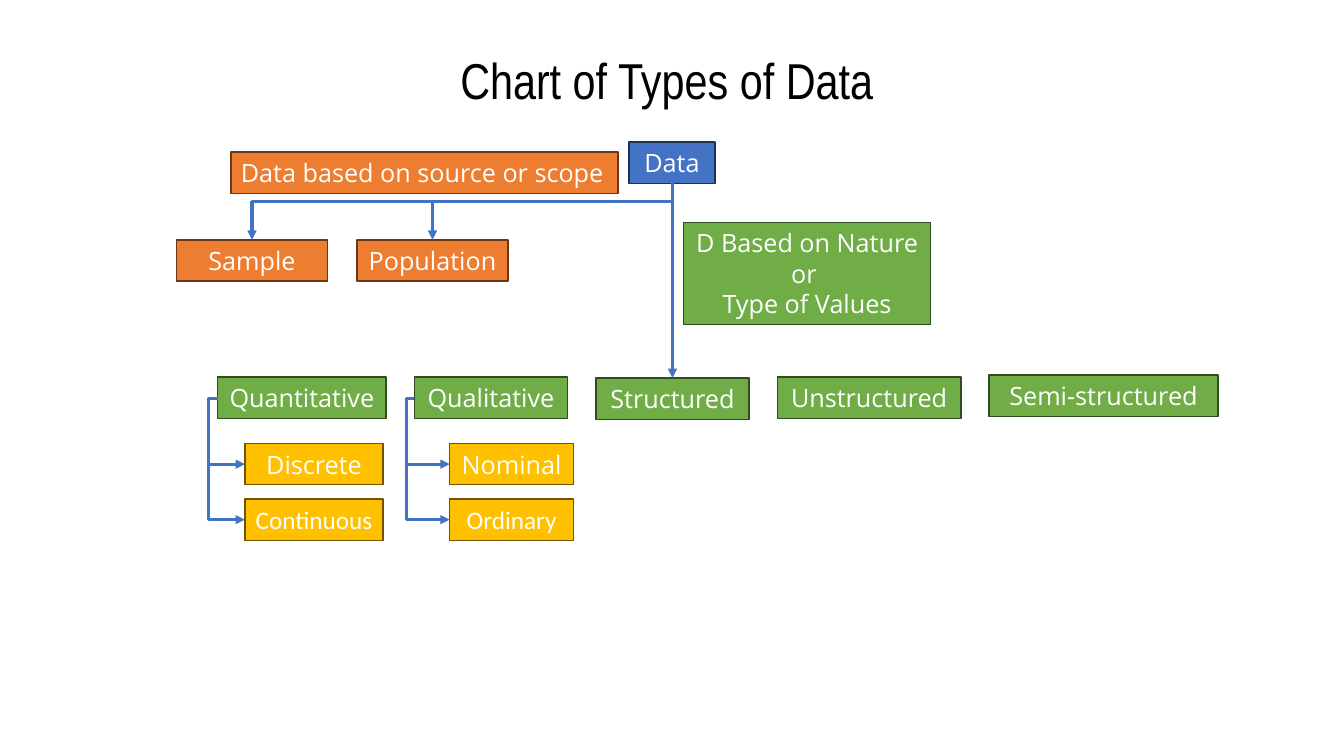
from lxml import etree
from pptx import Presentation
from pptx.dml.color import RGBColor
from pptx.enum.shapes import MSO_CONNECTOR, MSO_SHAPE
from pptx.enum.text import MSO_ANCHOR, MSO_AUTO_SIZE, PP_ALIGN
from pptx.oxml.ns import qn
from pptx.util import Inches, Pt

RECTANGLE = MSO_SHAPE.RECTANGLE
STRAIGHT, ELBOW = MSO_CONNECTOR.STRAIGHT, MSO_CONNECTOR.ELBOW
TOP, MIDDLE = MSO_ANCHOR.TOP, MSO_ANCHOR.MIDDLE
LEFT, CENTER = PP_ALIGN.LEFT, PP_ALIGN.CENTER
NO_AUTOFIT = MSO_AUTO_SIZE.NONE

BLUE = ("4472C4", "1E3256")
ORANGE = ("ED7D31", "683715")
GREEN = ("70AD47", "314C1F")
GOLD = ("FFC000", "705400")
BODY_FONT, LEAF_FONT, TITLE_FONT = "Open Sans", "Calibri", "Arial Narrow"
BOX_HEIGHT = 0.41
TRUNK_X, BRANCH_Y = 6.67, 2

SCOPES = [("Sample", 1.75), ("Population", 3.54)]
NATURES = [
    ("Quantitative", 2.16, 3.74, 1.67),
    ("Qualitative", 4.11, 3.74, 1.52),
    ("Structured", 5.91, 3.75, 1.52),
    ("Unstructured", 7.71, 3.74, 1.82),
    ("Semi-structured", 9.81, 3.72, 2.27),
]
LEAF_GROUPS = [
    (2.16, 2.07, 2.43, 1.37, ("Discrete", "Continuous")),
    (4.11, 4.03, 4.46, 1.23, ("Nominal", "Ordinary")),
]
LEAF_ROWS = [(4.4, BODY_FONT), (4.95, LEAF_FONT)]


def color(value):
    """Turn a hex string into a colour."""
    return RGBColor.from_string(value)


def write_lines(frame, lines, font, size, ink, align=CENTER):
    """Fill a text frame with one paragraph per line."""
    for index, line in enumerate(lines):
        para = frame.paragraphs[0] if index == 0 else frame.add_paragraph()
        para.alignment = align
        span = para.add_run()
        span.text = line
        span.font.name = font
        span.font.size = Pt(size)
        span.font.color.rgb = color(ink)


def add_title(page, text):
    """Place and format the title placeholder."""
    title = page.shapes.title
    title.left, title.top = Inches(1.75), Inches(0.44)
    title.width, title.height = Inches(9.84), Inches(0.71)
    frame = title.text_frame
    frame.auto_size = NO_AUTOFIT
    frame.vertical_anchor = TOP
    write_lines(frame, [text], TITLE_FONT, 36, "000000")


def add_box(page, lines, left, top, width, palette, height=BOX_HEIGHT,
            font=BODY_FONT, anchor=MIDDLE, align=CENTER, wrap=True):
    """Add a filled rectangle with white text."""
    box = page.shapes.add_shape(
        RECTANGLE, Inches(left), Inches(top), Inches(width), Inches(height))
    fill, outline = palette
    box.shadow.inherit = False
    box.fill.solid()
    box.fill.fore_color.rgb = color(fill)
    box.line.color.rgb = color(outline)
    box.line.width = Pt(1)
    frame = box.text_frame
    frame.word_wrap = wrap
    frame.vertical_anchor = anchor
    write_lines(frame, lines, font, 18, "FFFFFF", align)


def add_arrow(page, start, end, kind=STRAIGHT):
    """Add a blue connector with a triangle at its end."""
    arrow = page.shapes.add_connector(
        kind, *(Inches(value) for value in (*start, *end)))
    arrow.line.color.rgb = color(BLUE[0])
    arrow.line.width = Pt(2.25)
    line = arrow.line._get_or_add_ln()
    etree.SubElement(line, qn("a:tailEnd"), type="triangle")
    etree.SubElement(arrow._element.spPr, qn("a:effectLst"))
    return arrow


def add_corner_arrow(page, start, end):
    """Add an arrow that runs across and then turns down once."""
    arrow = add_arrow(page, start, end, ELBOW)
    arrow._element.spPr.find(qn("a:prstGeom")).set("prst", "bentConnector2")


def add_bracket_arrow(page, start, end, spine):
    """Add an arrow that goes round a vertical spine left of both ends."""
    arrow = add_arrow(page, start, end, ELBOW)
    bend = round((spine - start[0]) / (end[0] - start[0]) * 100000)
    guides = arrow._element.spPr.find(qn("a:prstGeom")).find(qn("a:avLst"))
    etree.SubElement(guides, qn("a:gd"), name="adj1", fmla=f"val {bend}")


def add_leaf_group(page, parent_left, spine, left, width, names):
    """Add the leaf boxes under one parent and the arrows to them."""
    for name, (top, font) in zip(names, LEAF_ROWS):
        add_box(page, [name], left, top, width, GOLD, font=font)
    first, last = (top + BOX_HEIGHT / 2 for top, _ in LEAF_ROWS)
    add_bracket_arrow(page, (parent_left, 3.95), (left, last), spine)
    add_arrow(page, (spine, first), (left, first))


def main():
    """Build the chart of data types."""
    deck = Presentation()
    deck.slide_width, deck.slide_height = Inches(13.33), Inches(7.5)
    page = deck.slides.add_slide(deck.slide_layouts[5])
    add_title(page, "Chart of Types of Data ")

    add_box(page, ["Data"], 6.24, 1.41, 0.85, BLUE)
    add_box(page, ["Data based on source or scope"], 2.29, 1.51, 3.84, ORANGE,
            anchor=TOP, align=LEFT, wrap=False)
    add_box(page, ["D Based on Nature ", "or ", "Type of Values"],
            6.78, 2.21, 2.45, GREEN, height=1.01, anchor=TOP)
    for name, left in SCOPES:
        add_box(page, [name], left, 2.38, 1.5, ORANGE)
    for name, left, top, width in NATURES:
        add_box(page, [name], left, top, width, GREEN)

    add_arrow(page, (TRUNK_X, 1.82), (TRUNK_X, 3.75))
    add_corner_arrow(page, (TRUNK_X, BRANCH_Y), (2.5, 2.38))
    add_arrow(page, (4.29, BRANCH_Y), (4.29, 2.38))
    for group in LEAF_GROUPS:
        add_leaf_group(page, *group)
    deck.save("out.pptx")


if __name__ == "__main__":
    main()
